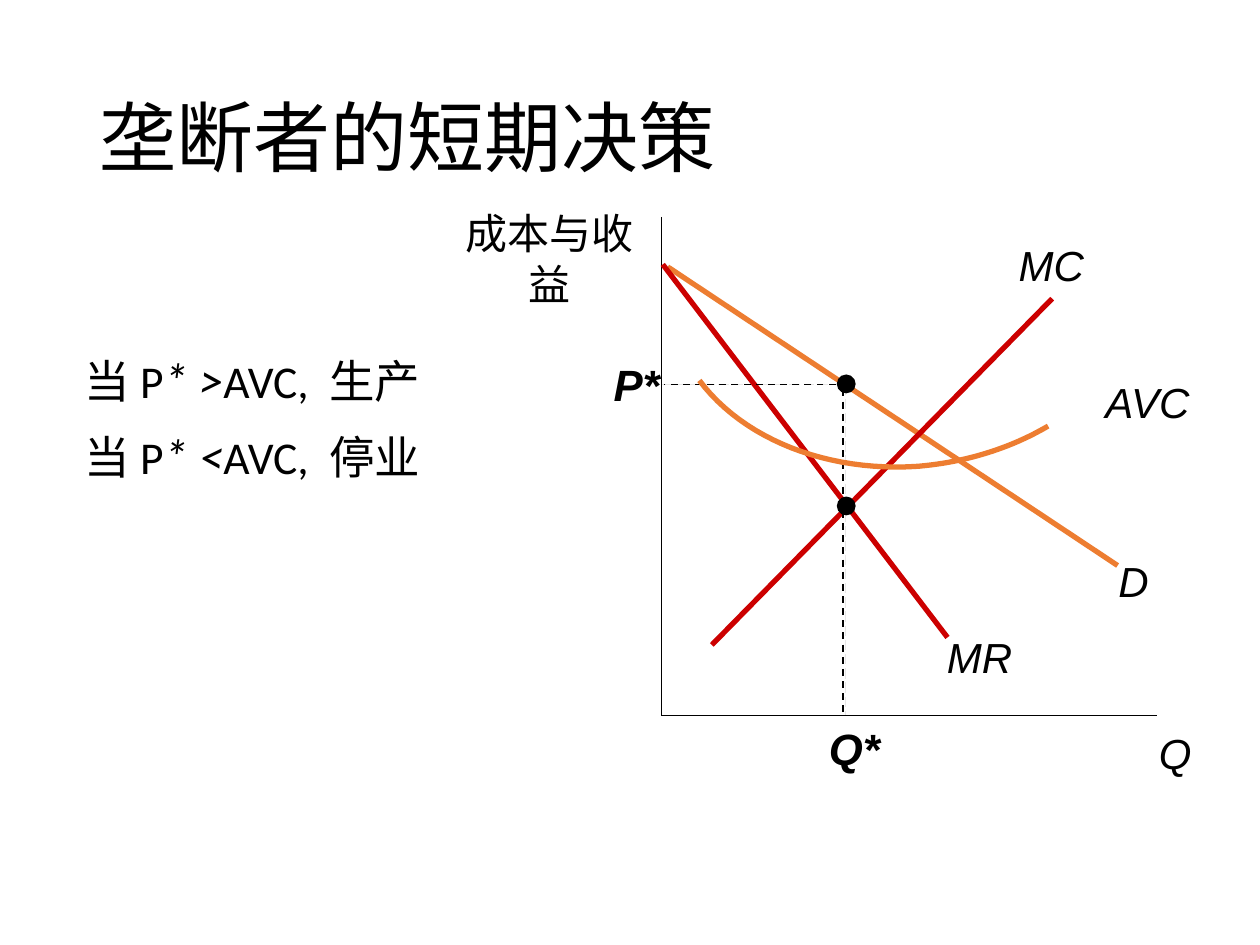
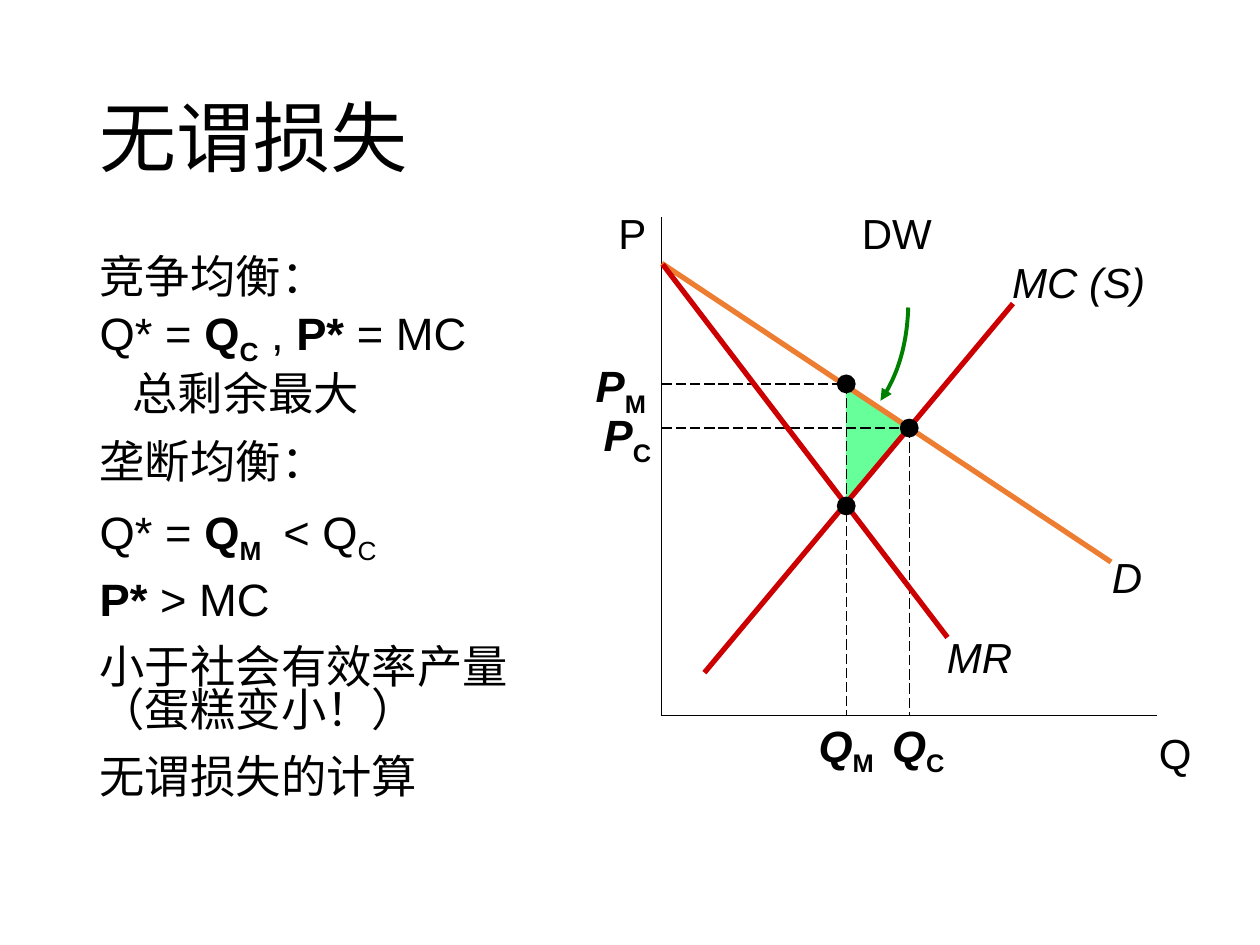
import pptx
import pptx.dml.color
import pptx.enum.dml
import pptx.enum.shapes
import pptx.enum.text
import pptx.oxml
import pptx.util

Cm, Pt = pptx.util.Cm, pptx.util.Pt
ALIGN = pptx.enum.text.PP_ALIGN
SHAPE = pptx.enum.shapes.MSO_SHAPE
DASH = pptx.enum.dml.MSO_LINE

COLORS = {
    "text": "000000",
    "axis": "000000",
    "guide": "E7E6E6",
    "demand": "ED7D31",
    "marginal": "CC0000",
    "loss": "66FF99",
    "arrow": "008000",
}

# Points of the diagram, in centimetres
ORIGIN_X, ORIGIN_Y = 13.34, 14.43
AXIS_TOP, AXIS_RIGHT = 4.37, 23.32
MONOPOLY_X, MONOPOLY_Y, MARGINAL_Y = 17.06, 7.74, 10.2
COMPETITIVE_X, COMPETITIVE_Y = 18.33, 8.63


def rgb(name):
    return pptx.dml.color.RGBColor.from_string(COLORS[name])


def format_run(run, size, font, style=""):
    """Style letters: b bold, i italic, s subscript."""
    run.font.size = Pt(size)
    run.font.name = font
    run.font.color.rgb = rgb("text")
    run.font.bold = "b" in style
    run.font.italic = "i" in style
    if "s" in style:
        run.font._element.set("baseline", "-25000")


def fill_paragraph(paragraph, runs, size, font):
    """Each run is (text, style) or (text, style, its own size)."""
    for text, style, *own_size in runs:
        run = paragraph.add_run()
        run.text = text
        format_run(run, own_size[0] if own_size else size, font, style)


def add_text_frame(slide, left, top, width, height):
    box = slide.shapes.add_textbox(Cm(left), Cm(top), Cm(width), Cm(height))
    frame = box.text_frame
    frame.word_wrap = True
    frame.margin_left = frame.margin_right = 0
    frame.margin_top = frame.margin_bottom = 0
    return frame


def add_label(slide, runs, left, top, width, height=1.02, size=24, align=ALIGN.CENTER):
    paragraph = add_text_frame(slide, left, top, width, height).paragraphs[0]
    paragraph.alignment = align
    fill_paragraph(paragraph, runs, size, "Arial")


def add_body(slide, place, rows, size, font):
    """Each row is (runs, line spacing, points before, indent in centimetres)."""
    frame = add_text_frame(slide, *place)
    for index, (runs, spacing, before, indent) in enumerate(rows):
        paragraph = frame.add_paragraph() if index else frame.paragraphs[0]
        paragraph.line_spacing = spacing
        paragraph.space_before = Pt(before)
        if indent:
            paragraph._p.get_or_add_pPr().set("marL", str(Cm(indent)))
        fill_paragraph(paragraph, runs, size, font)


def add_line(slide, start, end, color="axis", width=0.75, dash=None):
    line = slide.shapes.add_connector(
        pptx.enum.shapes.MSO_CONNECTOR.STRAIGHT, *map(Cm, start + end))
    line.line.color.rgb = rgb(color)
    line.line.width = Pt(width)
    if dash:
        line.line.dash_style = dash
    line._element.spPr.append(pptx.oxml.parse_xml(
        '<a:effectLst xmlns:a="http://schemas.openxmlformats.org/drawingml/2006/main"/>'))


def add_preset(slide, kind, left, top, width, height, color):
    shape = slide.shapes.add_shape(kind, Cm(left), Cm(top), Cm(width), Cm(height))
    shape.shadow.inherit = False
    shape.fill.solid()
    shape.fill.fore_color.rgb = rgb(color)
    shape.line.fill.background()
    return shape


def add_dot(slide, x, y, size=0.38):
    add_preset(slide, SHAPE.OVAL, x - size / 2, y - size / 2, size, size, "axis")


def bezier_points(start, control1, control2, end, steps=24):
    for step in range(1, steps + 1):
        t = step / steps
        weights = ((1 - t) ** 3, 3 * t * (1 - t) ** 2, 3 * t * t * (1 - t), t ** 3)
        yield tuple(
            Cm(sum(weight * value for weight, value in zip(weights, values)))
            for values in zip(start, control1, control2, end))


def add_curve(slide, start, segments, color, width, arrow=False):
    """Draw an open curve; each segment is (control, control, end)."""
    builder = slide.shapes.build_freeform(Cm(start[0]), Cm(start[1]))
    for segment in segments:
        builder.add_line_segments(list(bezier_points(start, *segment)), close=False)
        start = segment[-1]
    curve = builder.convert_to_shape()
    curve.shadow.inherit = False
    curve.fill.background()
    curve.line.color.rgb = rgb(color)
    curve.line.width = Pt(width)
    if arrow:
        curve.line._get_or_add_ln().append(pptx.oxml.parse_xml(
            '<a:tailEnd xmlns:a="http://schemas.openxmlformats.org/drawingml/2006/main"'
            ' type="triangle"/>'))


def add_titled_slide(presentation, text):
    slide = presentation.slides.add_slide(presentation.slide_layouts[5])
    title = slide.shapes.title
    title.left, title.top, title.width, title.height = map(Cm, (1.75, 1.02, 21.9, 3.68))
    title.text_frame.text = text
    title.text_frame.vertical_anchor = pptx.enum.text.MSO_ANCHOR.MIDDLE
    paragraph = title.text_frame.paragraphs[0]
    paragraph.alignment = ALIGN.LEFT
    paragraph.line_spacing = 0.9
    format_run(paragraph.runs[0], 44, "Calibri")
    return slide


def add_axes(slide, quantity_style):
    add_line(slide, (ORIGIN_X, AXIS_TOP), (ORIGIN_X, ORIGIN_Y))
    add_line(slide, (ORIGIN_X, ORIGIN_Y), (AXIS_RIGHT, ORIGIN_Y))
    add_label(slide, [("Q", quantity_style)], 20.57, 14.66, 3.45, align=ALIGN.RIGHT)


def add_market_curves(slide, demand, marginal_cost):
    """Draw D, MR and MC; only D and MC differ between slides."""
    add_line(slide, *demand, "demand", 3)
    add_line(slide, (13.36, 5.33), (19.1, 12.85), "marginal", 3)
    add_line(slide, *marginal_cost, "marginal", 3)
    add_label(slide, [("D", "i")], demand[1][0] - 0.29, demand[1][1] - 0.21, 1.22)
    add_label(slide, [("MR", "i")], 18.92, 12.73, 1.65)


def build_short_run_slide(presentation):
    slide = add_titled_slide(presentation, "垄断者的短期决策")
    rows = [([("当 P", ""), (sign, "i", 28), (result, "")], 0.9, before, 0)
            for sign, result, before in (("* >", "AVC,  生产", 0), ("* <", "AVC,  停业", 13))]
    add_body(slide, (1.7, 7.19, 10.74, 6.76), rows, 26, "Calibri")

    add_line(slide, (ORIGIN_X, 7.75), (17.04, 7.75), "guide", dash=DASH.LONG_DASH)
    add_line(slide, (17.04, 7.75), (17.04, ORIGIN_Y), "guide", dash=DASH.LONG_DASH)
    add_axes(slide, "i")
    add_label(slide, [("成本与收益", "")], 9.12, 4.19, 3.91, 2.06)
    add_market_curves(slide, ((13.46, 5.38), (22.53, 11.4)), ((14.35, 13), (21.21, 6.02)))
    add_label(slide, [("MC", "i")], 20.37, 4.83, 1.65)

    add_dot(slide, MONOPOLY_X, MARGINAL_Y)
    add_dot(slide, MONOPOLY_X, MONOPOLY_Y)
    add_label(slide, [("Q*", "bi")], 16.31, 14.55, 1.83, size=25)
    add_label(slide, [("P*", "bi")], 12.37, 7.21, 1.2, size=25, align=ALIGN.LEFT)
    add_line(slide, (16.99, 7.85), (16.99, ORIGIN_Y), width=1, dash=DASH.DASH)
    add_line(slide, (17.09, 7.75), (13.39, 7.75), width=1, dash=DASH.DASH)
    add_curve(slide, (21.13, 8.59), [
        ((20.37, 9.04), (19.46, 9.32), (18.52, 9.4)),
        ((16.69, 9.53), (14.99, 8.86), (14.1, 7.67)),
    ], "demand", 3)
    add_label(slide, [("AVC", "i")], 22.1, 7.59, 2.06)


def build_deadweight_slide(presentation):
    slide = add_titled_slide(presentation, "无谓损失")
    add_body(slide, (2.01, 5.21, 9.6, 11.8), [
        ([("竞争均衡：", "")], 0.8, 0, 0),
        ([("Q* = ", ""), ("Q", "b"), ("C", "bs"), (" , ", ""), ("P*", "b"), (" = MC", "")],
         0.8, 5, 0),
        ([("总剩余最大", "")], 0.95, 5, 0.66),
        ([("垄断均衡：", "")], 0.8, 13, 0),
        ([("Q* = ", ""), ("Q", "b"), ("M   ", "bs"), ("< Q", ""), ("C", "s")], 0.8, 13, 0),
        ([("P*", "b"), (" > MC", "")], 0.8, 13, 0),
        ([("小于社会有效率产量（蛋糕变小！）", "")], 0.8, 13, 0),
        ([("无谓损失的计算", "")], 0.8, 13, 0),
    ], 25.9, "Arial")

    loss = add_preset(slide, SHAPE.ISOSCELES_TRIANGLE, 16.48, 8.36, 2.36, 1.22, "loss")
    loss.adjustments[0] = 0.363
    loss.rotation = 90
    add_label(slide, [("DW", "")], 15.54, 4.19, 5.08)
    add_curve(slide, (18.31, 6.2), [((18.29, 6.91), (18.11, 7.57), (17.75, 8.08))],
              "arrow", 2.25, arrow=True)

    for start, end in (
        ((ORIGIN_X, COMPETITIVE_Y), (COMPETITIVE_X, COMPETITIVE_Y)),
        ((ORIGIN_X, MONOPOLY_Y), (MONOPOLY_X, MONOPOLY_Y)),
        ((MONOPOLY_X, MONOPOLY_Y), (MONOPOLY_X, ORIGIN_Y)),
        ((COMPETITIVE_X, COMPETITIVE_Y), (COMPETITIVE_X, ORIGIN_Y)),
    ):
        add_line(slide, start, end, dash=DASH.LONG_DASH)
    add_axes(slide, "")
    add_label(slide, [("P", "")], 9.12, 4.19, 3.91, align=ALIGN.RIGHT)
    add_market_curves(slide, ((13.34, 5.31), (22.4, 11.33)), ((14.2, 13.56), (20.42, 6.12)))
    add_label(slide, [("MC (S)", "i")], 20.12, 5.18, 3.25)

    for x, y in ((MONOPOLY_X, MARGINAL_Y), (MONOPOLY_X, MONOPOLY_Y),
                 (COMPETITIVE_X, COMPETITIVE_Y)):
        add_dot(slide, x, y)
    for letter, market, left, top, align in (
        ("P", "M", 12.01, 7.24, ALIGN.LEFT),
        ("P", "C", 12.17, 8.23, ALIGN.LEFT),
        ("Q", "M", 16.38, 14.48, ALIGN.CENTER),
        ("Q", "C", 17.83, 14.48, ALIGN.CENTER),
    ):
        add_label(slide, [(letter, "bi"), (market, "bs")], left, top, 1.36,
                  size=25, align=align)


def main():
    presentation = pptx.Presentation()
    presentation.slide_width, presentation.slide_height = Cm(25.4), Cm(19.05)
    build_short_run_slide(presentation)
    build_deadweight_slide(presentation)
    presentation.save("out.pptx")


if __name__ == "__main__":
    main()
